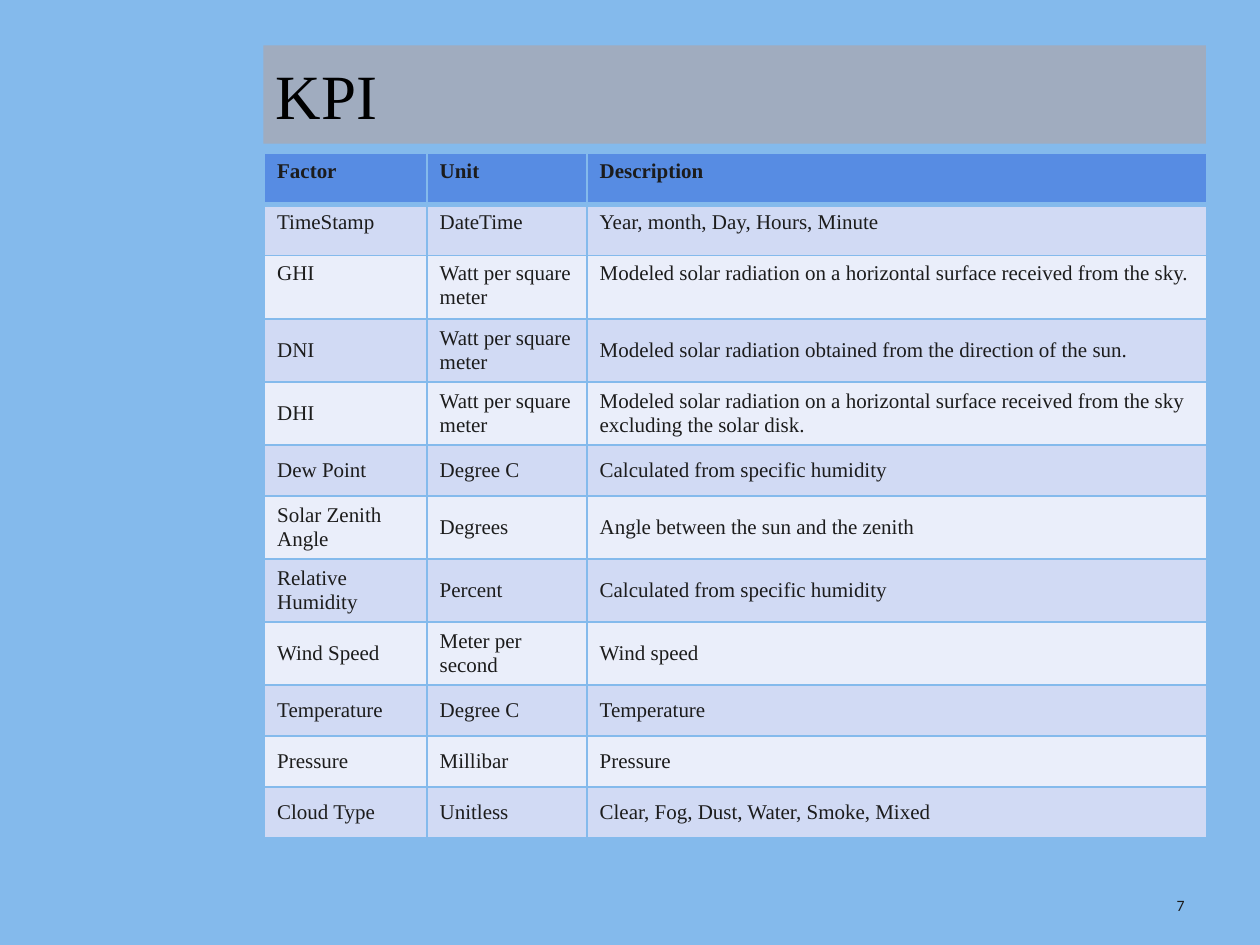
"""Build the KPI slide: a title bar, a table of solar factors and a page number."""
from dataclasses import dataclass

from lxml import etree
from pptx import Presentation
from pptx.dml.color import RGBColor
from pptx.enum.shapes import MSO_SHAPE
from pptx.enum.text import MSO_ANCHOR, PP_ALIGN
from pptx.oxml.ns import qn
from pptx.util import Inches, Pt

RECT = MSO_SHAPE.RECTANGLE
TOP, MIDDLE = MSO_ANCHOR.TOP, MSO_ANCHOR.MIDDLE
LEFT, RIGHT = PP_ALIGN.LEFT, PP_ALIGN.RIGHT
SLIDE_W, SLIDE_H = Inches(10), Inches(7.5)


@dataclass(frozen=True)
class Theme:
    sky: str = "84BAEC"
    bar: str = "A0ACBF"
    header: str = "578CE3"
    bands: tuple = ("D1DAF4", "EAEEFA")
    ink: str = "1C1C1C"
    black: str = "000000"
    serif: str = "Times New Roman"
    sans: str = "Calibri"
    title_pt: int = 36
    cell_pt: int = 12
    number_pt: int = 9
    rule_pt: int = 1
    header_rule_pt: int = 3


@dataclass(frozen=True)
class Box:
    """A frame in percent of the slide's width and height."""
    x: float
    y: float
    w: float
    h: float

    def emu(self) -> tuple:
        return across(self.x), down(self.y), across(self.w), down(self.h)


@dataclass(frozen=True)
class Factor:
    name: str
    unit: str
    description: str


THEME = Theme()
ROW_SHARE = 5.4
COLUMN_SHARES = (12.9, 12.7, 49.2)
TOP_ALIGNED_ROWS = 3
HEADER = Factor("Factor", "Unit", "Description")
FACTORS = (
    Factor("TimeStamp", "DateTime", "Year, month, Day, Hours, Minute"),
    Factor("GHI", "Watt per square meter",
           "Modeled solar radiation on a horizontal surface received from the sky."),
    Factor("DNI", "Watt per square meter",
           "Modeled solar radiation obtained from the direction of the sun."),
    Factor("DHI", "Watt per square meter",
           "Modeled solar radiation on a horizontal surface received from the sky "
           "excluding the solar disk."),
    Factor("Dew Point", "Degree C", "Calculated from specific humidity"),
    Factor("Solar Zenith Angle", "Degrees", "Angle between the sun and the zenith"),
    Factor("Relative Humidity", "Percent", "Calculated from specific humidity"),
    Factor("Wind Speed", "Meter per second", "Wind speed"),
    Factor("Temperature", "Degree C", "Temperature"),
    Factor("Pressure", "Millibar", "Pressure"),
    Factor("Cloud Type", "Unitless", "Clear, Fog, Dust, Water, Smoke, Mixed"),
)
TITLE_BOX = Box(20.9, 4.8, 74.8, 10.4)
TABLE_BOX = Box(21, 16.27, sum(COLUMN_SHARES), ROW_SHARE * (len(FACTORS) + 1))
NUMBER_BOX = Box(71.7, 94.13, 23.3, 3.87)


def across(share: float) -> int:
    return round(SLIDE_W * share / 100)


def down(share: float) -> int:
    return round(SLIDE_H * share / 100)


def paint(fill, color: str) -> None:
    fill.solid()
    fill.fore_color.rgb = RGBColor.from_string(color)


def write(tf, text: str, color: str, align=LEFT, **font) -> None:
    tf.word_wrap = True
    p = tf.paragraphs[0]
    p.alignment = align
    r = p.add_run()
    r.text = text
    r.font.color.rgb = RGBColor.from_string(color)
    for key, value in font.items():
        setattr(r.font, key, value)


def add_title(s, text: str) -> None:
    sp = s.shapes.add_shape(RECT, *TITLE_BOX.emu())
    sp.shadow.inherit = False
    paint(sp.fill, THEME.bar)
    sp.line.fill.background()
    sp.text_frame.vertical_anchor = MIDDLE
    write(sp.text_frame, text, THEME.black, name=THEME.serif, size=Pt(THEME.title_pt))


def add_number(s, text: str) -> None:
    tf = s.shapes.add_textbox(*NUMBER_BOX.emu()).text_frame
    write(tf, text, THEME.ink, RIGHT, name=THEME.sans, size=Pt(THEME.number_pt))


def set_borders(cell, top: int, bottom: int) -> None:
    tc_pr = cell._tc.get_or_add_tcPr()
    widths = {"lnL": THEME.rule_pt, "lnR": THEME.rule_pt, "lnT": top, "lnB": bottom}
    for i, (tag, width) in enumerate(widths.items()):
        ln = etree.Element(qn(f"a:{tag}"), w=str(Pt(width)))
        fill = etree.SubElement(ln, qn("a:solidFill"))
        etree.SubElement(fill, qn("a:srgbClr"), val=THEME.sky)
        tc_pr.insert(i, ln)


def add_factor_table(s) -> None:
    rows = (HEADER, *FACTORS)
    table = s.shapes.add_table(len(rows), len(COLUMN_SHARES), *TABLE_BOX.emu()).table
    for column, share in zip(table.columns, COLUMN_SHARES):
        column.width = across(share)
    for i, row in enumerate(rows):
        table.rows[i].height = down(ROW_SHARE)
        is_header = i == 0
        color = THEME.header if is_header else THEME.bands[(i - 1) % 2]
        top = THEME.header_rule_pt if i == 1 else THEME.rule_pt
        bottom = THEME.header_rule_pt if is_header else THEME.rule_pt
        for j, text in enumerate((row.name, row.unit, row.description)):
            cell = table.cell(i, j)
            paint(cell.fill, color)
            set_borders(cell, top, bottom)
            cell.vertical_anchor = TOP if i < TOP_ALIGNED_ROWS else MIDDLE
            write(cell.text_frame, text, THEME.ink, name=THEME.serif,
                  size=Pt(THEME.cell_pt), bold=is_header)


def main() -> None:
    prs = Presentation()
    prs.slide_width, prs.slide_height = SLIDE_W, SLIDE_H
    s = prs.slides.add_slide(prs.slide_layouts[6])
    paint(s.background.fill, THEME.sky)
    add_number(s, "7")
    add_title(s, "KPI")
    add_factor_table(s)
    prs.save("out.pptx")


if __name__ == "__main__":
    main()
